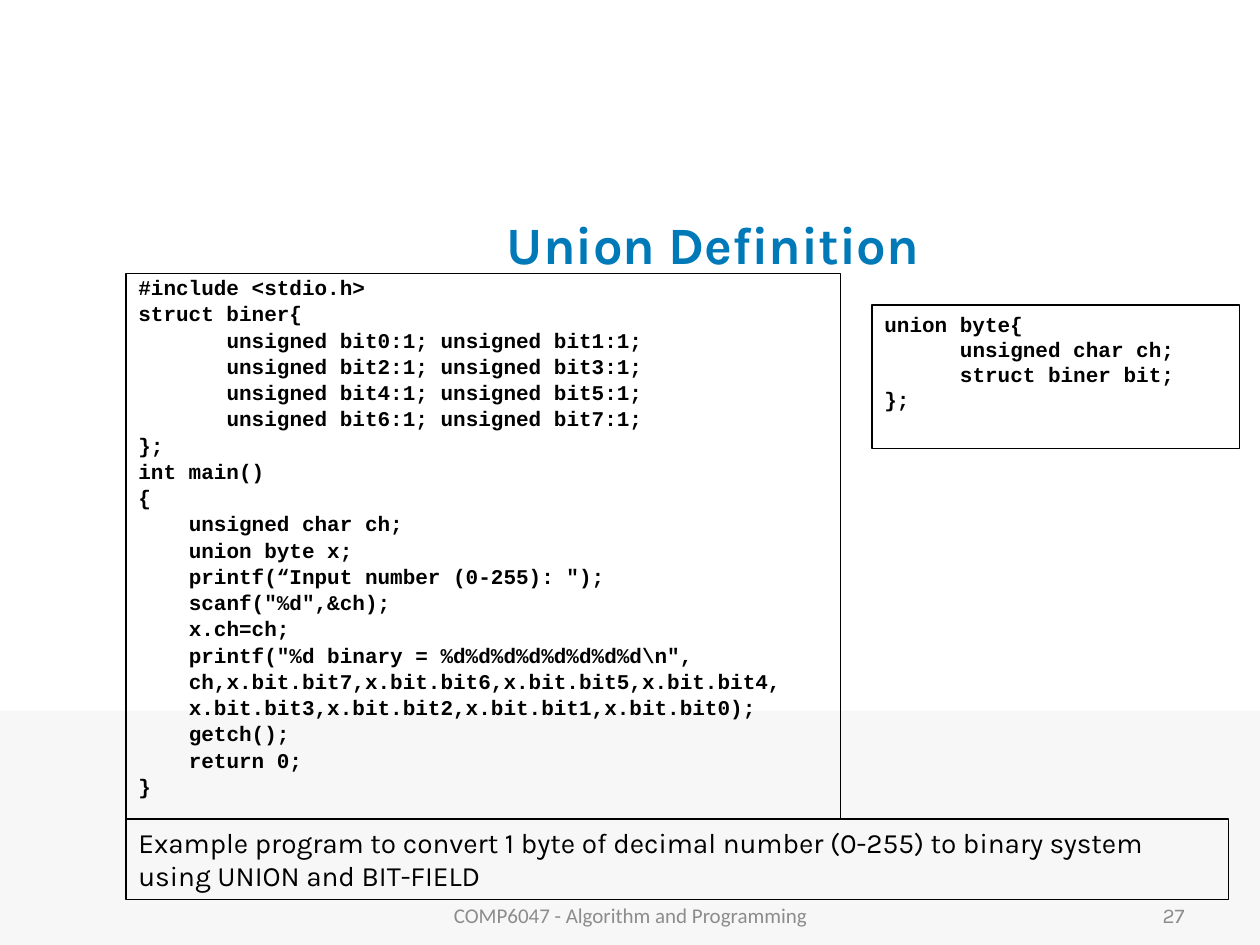
from pptx import Presentation
from pptx.dml.color import RGBColor
from pptx.enum.shapes import MSO_SHAPE as Shape
from pptx.enum.text import MSO_ANCHOR as Anchor, PP_ALIGN as Align
from pptx.util import Inches, Pt

BLACK = RGBColor(0x00, 0x00, 0x00)
BLUE = RGBColor(0x00, 0x79, 0xB8)
GRAY = RGBColor(0x8C, 0x8C, 0x8C)
PALE = RGBColor(0xF7, 0xF7, 0xF7)
CODE_FONT, TEXT_FONT, FOOTER_FONT = "Courier New", "Karla", "Calibri"
CHAR_WIDTH = 0.1  # inches per character of 12 pt code

# Content: code lines are (indent in characters, text)
TITLE = "Union Definition"
PROGRAM = [
    (0, "#include <stdio.h>"),
    (0, "struct biner{"),
    *[(7, f"unsigned bit{n}:1; unsigned bit{n + 1}:1;") for n in range(0, 8, 2)],
    (0, "};"),
    (0, "int main()"),
    (0, "{"),
    (4, "unsigned char ch;"),
    (4, "union byte x;"),
    (4, 'printf(“Input number (0-255): ");'),
    (4, 'scanf("%d",&ch);'),
    (4, "x.ch=ch;"),
    (4, r'printf("%d binary = %d%d%d%d%d%d%d%d\n",'),
    (4, "ch,x.bit.bit7,x.bit.bit6,x.bit.bit5,x.bit.bit4,"),
    (4, "x.bit.bit3,x.bit.bit2,x.bit.bit1,x.bit.bit0);"),
    (4, "getch();"),
    (4, "return 0;"),
    (0, "}"),
]
UNION = [
    (0, "union byte{"),
    (6, "unsigned char ch;"),
    (6, "struct biner bit;"),
    (0, "};"),
]
CAPTION = ("Example program to convert 1 byte of decimal number (0-255) "
           "to binary system using UNION and BIT-FIELD")
FOOTER = "COMP6047 - Algorithm and Programming"
PAGE = "27"


def write(shape, lines, *, font=TEXT_FONT, size=12, color=BLACK, bold=False,
          align=Align.LEFT, anchor=Anchor.TOP, before=0, spacing=1.0):
    """Fill a shape with a string or a list of (indent, text) lines."""
    frame = shape.text_frame
    frame.word_wrap = True
    frame.vertical_anchor = anchor
    lines = [(0, lines)] if isinstance(lines, str) else lines
    for i, (indent, text) in enumerate(lines):
        para = frame.add_paragraph() if i else frame.paragraphs[0]
        para.alignment = align
        para.space_before = Pt(before)
        para.line_spacing = spacing
        if indent:
            para._p.get_or_add_pPr().set("marL", str(Inches(indent * CHAR_WIDTH)))
        run = para.add_run()
        run.text = text
        run.font.name = font
        run.font.size = Pt(size)
        run.font.bold = bold
        run.font.color.rgb = color


def add_box(left, top, width, height, fill=None):
    """Add a filled band, or a black outlined frame when no fill is given."""
    box = slide.shapes.add_shape(Shape.RECTANGLE, *map(Inches, (left, top, width, height)))
    box.shadow.inherit = False
    if fill is None:
        box.fill.background()
        box.line.color.rgb = BLACK
        box.line.width = Pt(0.75)
    else:
        box.fill.solid()
        box.fill.fore_color.rgb = fill
        box.line.fill.background()
    return box


prs = Presentation()
prs.slide_width, prs.slide_height = Inches(10), Inches(7.5)
slide = prs.slides.add_slide(prs.slide_layouts[5])

# Background band, kept behind the title
band = add_box(0, 5.64, 10, 1.86, fill=PALE)
slide.shapes._spTree.insert(2, band._element)

# Title
title = slide.shapes.title
title.left, title.top, title.width, title.height = map(Inches, (1.92, 1.5, 7.48, 0.87))
write(title, TITLE, size=30, color=BLUE, bold=True, align=Align.CENTER, anchor=Anchor.MIDDLE)

# Code frames and caption
write(add_box(1, 2.17, 5.67, 4.33), PROGRAM, font=CODE_FONT, bold=True,
      before=3.5, spacing=0.8)
write(add_box(6.92, 2.42, 2.92, 1.14), UNION, font=CODE_FONT, bold=True)
write(add_box(1, 6.5, 8.75, 0.64), CAPTION, size=16, before=11.2)

# Footer and page number
for text, left, width, font, align in [
    (FOOTER, 3.42, 3.17, FOOTER_FONT, Align.CENTER),
    (PAGE, 7.17, 2.33, TEXT_FONT, Align.RIGHT),
]:
    label = slide.shapes.add_textbox(*map(Inches, (left, 7.06, width, 0.4)))
    write(label, text, font=font, color=GRAY, align=align, anchor=Anchor.MIDDLE)

prs.save("out.pptx")
